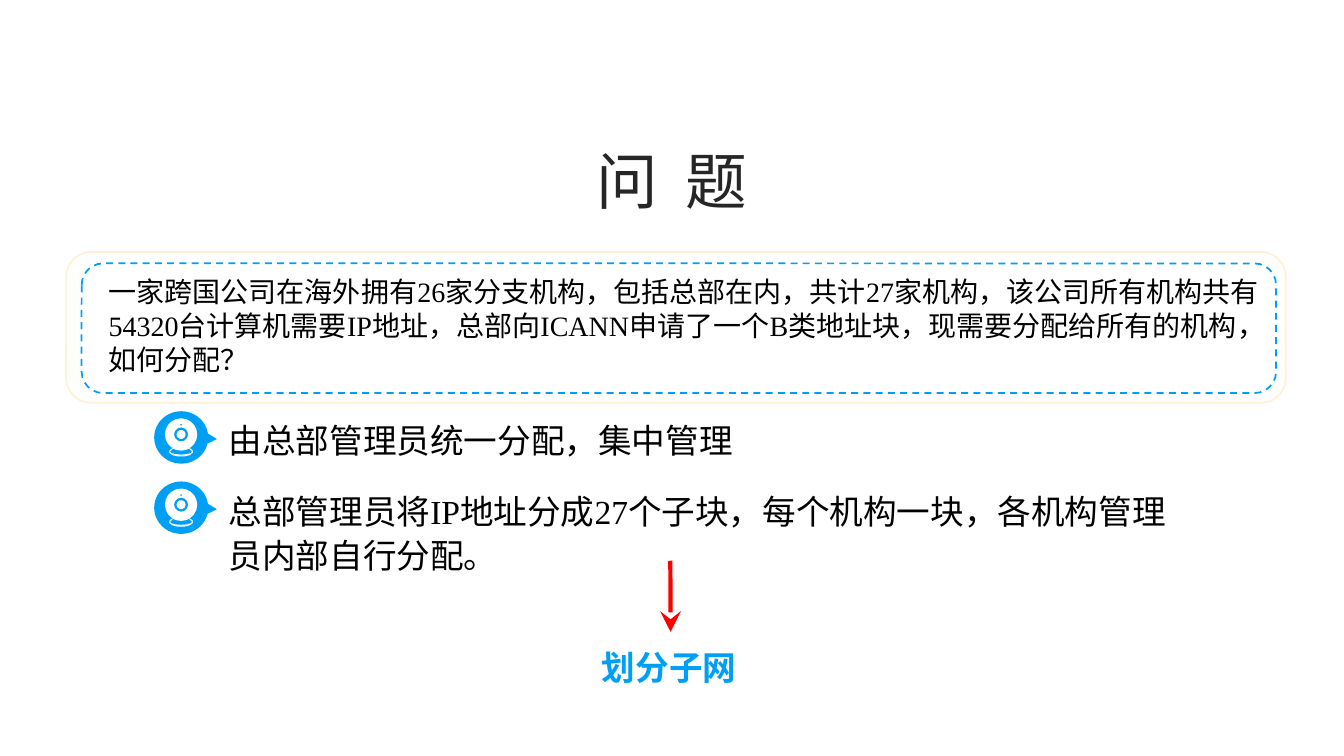
"""Build the slide that asks how to divide an address block into subnets."""
import math

import lxml.etree
import pptx
import pptx.dml.color
import pptx.enum.dml
import pptx.enum.shapes
import pptx.enum.text
import pptx.oxml.ns
import pptx.util

PX = 3048
COLORS = {"blue": "009FF6", "cream": "FEF1D6", "white": "FFFFFF",
          "red": "FF0000", "black": "000000", "title": "262626"}
SHAPES = pptx.enum.shapes.MSO_SHAPE
HAN_FONT = "Noto Sans CJK SC"


def write(frame, text, size, color, name="Times New Roman", spacing=None):
    frame.text = text
    para = frame.paragraphs[0]
    para.line_spacing = spacing
    para.font.size = pptx.util.Pt(size)
    para.font.color.rgb = pptx.dml.color.RGBColor.from_string(COLORS[color])
    para.font.name = name
    properties = para._p.pPr.find(pptx.oxml.ns.qn("a:defRPr"))
    lxml.etree.SubElement(properties, pptx.oxml.ns.qn("a:ea"), typeface=HAN_FONT)
    return para


def arc(steps, center_y, radius_x, radius_y, start=0, end=360):
    angles = [math.radians(start + (end - start) * step / steps) for step in range(steps + 1)]
    return [(100 * radius_x * math.cos(angle),
             100 * (center_y + radius_y * math.sin(angle))) for angle in angles]


deck = pptx.Presentation()
deck.slide_width, deck.slide_height = 4000 * PX, 2250 * PX
page = deck.slides.add_slide(deck.slide_layouts[5])

title = page.shapes.title
title.left, title.top, title.width, title.height = [n * PX for n in (425, 320, 3150, 430)]
title.text_frame.vertical_anchor = pptx.enum.text.MSO_ANCHOR.MIDDLE
heading = write(title.text_frame, "问  题", 44, "title", HAN_FONT)
heading.alignment = pptx.enum.text.PP_ALIGN.CENTER

arrow = page.shapes.add_connector(pptx.enum.shapes.MSO_CONNECTOR.STRAIGHT,
                                  1995 * PX, 1669 * PX, 1996 * PX, 1881 * PX)
arrow.line.color.rgb = pptx.dml.color.RGBColor.from_string(COLORS["red"])
arrow.line.width = pptx.util.Pt(3)
lxml.etree.SubElement(arrow.line._get_or_add_ln(), pptx.oxml.ns.qn("a:tailEnd"),
                      type="stealth", w="lg", len="lg")
lxml.etree.SubElement(arrow._element.spPr, pptx.oxml.ns.qn("a:effectLst"))

answer = page.shapes.add_textbox(1762 * PX, 1893 * PX, 474 * PX, 162 * PX)
answer.text_frame.word_wrap = False
write(answer.text_frame, "划分子网", 24, "blue", HAN_FONT, 1.15).font.bold = True

for bounds, color, filled in (((197, 750, 3630, 449), "cream", True),
                              ((243, 784, 3555, 386), "blue", False)):
    panel = page.shapes.add_shape(SHAPES.ROUNDED_RECTANGLE, *[n * PX for n in bounds])
    panel.shadow.inherit = False
    panel.line.color.rgb = pptx.dml.color.RGBColor.from_string(COLORS[color])
    panel.line.width = pptx.util.Pt(1.25)
    if filled:
        panel.fill.solid()
        panel.fill.fore_color.rgb = pptx.dml.color.RGBColor.from_string(COLORS["white"])
    else:
        panel.fill.background()
        panel.line.dash_style = pptx.enum.dml.MSO_LINE.DASH

question = page.shapes.add_textbox(294 * PX, 803 * PX, 3501 * PX, 333 * PX)
question.text_frame.word_wrap = True
write(question.text_frame,
      "一家跨国公司在海外拥有26家分支机构，包括总部在内，共计27家机构，"
      "该公司所有机构共有54320台计算机需要IP地址，总部向ICANN申请了一个B类地址块，"
      "现需要分配给所有的机构，如何分配？", 20, "black")

body = arc(16, 0, 16, 16, 125, 415) + arc(9, 17, 12, 5, -50, 230)
base = arc(8, 17, 11, 3, -35, 215) + arc(4, -2, 18, 18, 117, 63)
webcam = [body, base, arc(12, 0, 7, 7), arc(10, 0, 4.5, 4.5), arc(6, -9.5, 1, 1)]

options = [(1224, 1764, 156, "由总部管理员统一分配，集中管理"),
           (1433, 2883, 291, "总部管理员将IP地址分成27个子块，每个机构一块，各机构管理员内部自行分配。")]
for top, width, height, text in options:
    callout = page.shapes.add_shape(SHAPES.OVAL_CALLOUT, 459 * PX, top * PX, 161 * PX, 156 * PX)
    callout.adjustments[0], callout.adjustments[1] = 0.66, 0.03

    builder = page.shapes.build_freeform(*webcam[0][0], scale=3 * PX / 100)
    builder.add_line_segments(webcam[0][1:])
    for contour in webcam[1:]:
        builder.move_to(*contour[0])
        builder.add_line_segments(contour[1:])
    icon = builder.convert_to_shape(539 * PX, (top + 69) * PX)

    for shape, color in ((callout, "blue"), (icon, "white")):
        shape.shadow.inherit = False
        shape.fill.solid()
        shape.fill.fore_color.rgb = pptx.dml.color.RGBColor.from_string(COLORS[color])
        shape.line.fill.background()

    option = page.shapes.add_textbox(651 * PX, top * PX, width * PX, height * PX)
    option.text_frame.word_wrap = True
    write(option.text_frame, text, 24, "black", spacing=1.1)

deck.save("out.pptx")
